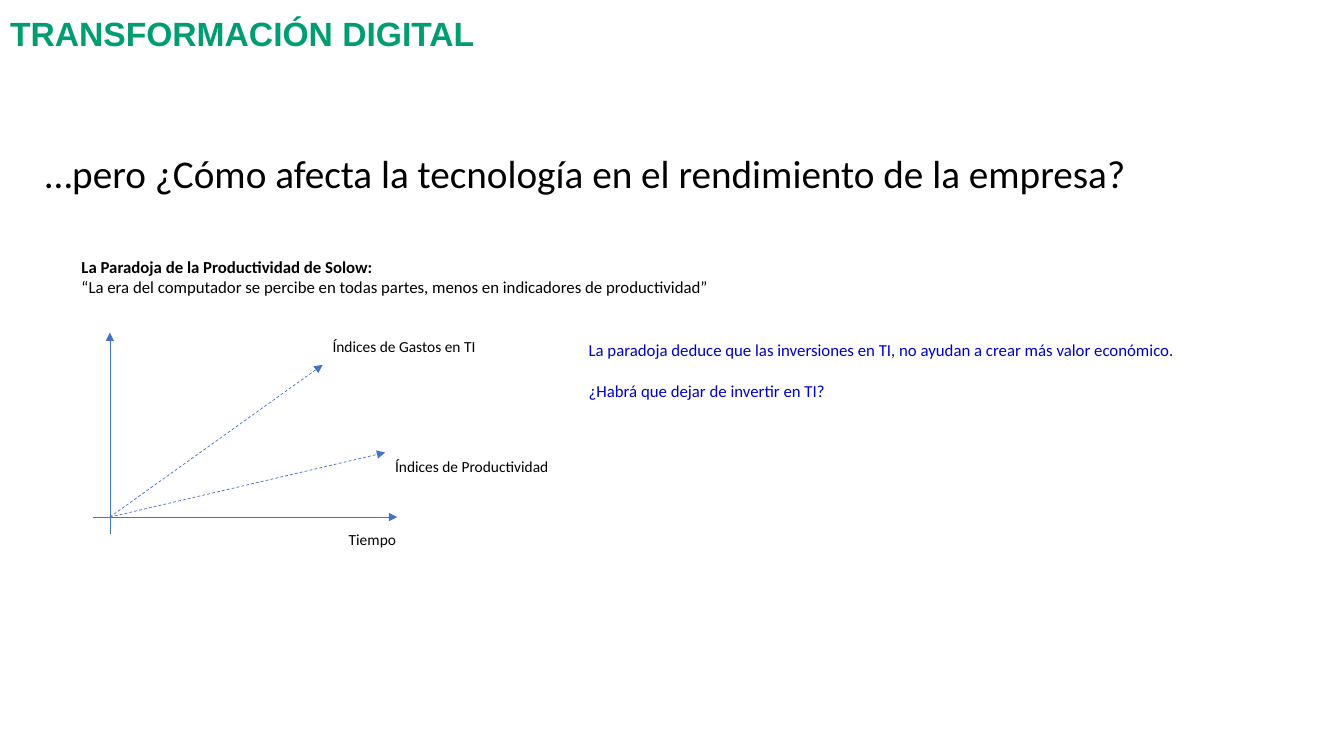
from lxml import etree
from pptx import Presentation
from pptx.dml.color import RGBColor
from pptx.enum.dml import MSO_LINE
from pptx.enum.shapes import MSO_CONNECTOR
from pptx.enum.text import MSO_ANCHOR, PP_ALIGN
from pptx.oxml.ns import qn
from pptx.util import Inches, Pt

COLORS = {"green": "009D72", "black": "000000", "blue": "0000CC", "line": "4472C4"}

# Content
TITLE = "TRANSFORMACIÓN DIGITAL"
# box (left, top, width, height), size, colour, gap before later paragraphs, (text, bold)
TEXTS = [
    ((0.35, 1.43, 11.95, 0.57), 28, "black", 0,
     [("…pero ¿Cómo afecta la tecnología en el rendimiento de la empresa?", False)]),
    ((0.71, 2.5, 7.01, 0.5), 12, "black", 0,
     [("La Paradoja de la Productividad de Solow:", True),
      ("“La era del computador se percibe en todas partes, menos en indicadores de productividad”",
       False)]),
    ((5.74, 3.32, 6.56, 0.91), 12, "blue", 14.65,
     [("La paradoja deduce que las inversiones en TI, no ayudan a crear más valor económico.", False),
      ("¿Habrá que dejar de invertir en TI?", False)]),
    ((3.36, 5.21, 0.72, 0.29), 11, "black", 0, [("Tiempo", False)]),
]
# Trend lines: label, arrow tip, label corner, label width
TRENDS = [
    ("Índices de Productividad", (3.82, 4.49), (3.82, 4.49), 1.87),
    ("Índices de Gastos en TI", (3.2, 3.62), (3.2, 3.3), 1.76),
]
ORIGIN_X, ORIGIN_Y = 1.09, 5.13
AXIS_OVERHANG = 0.17
AXIS_RIGHT, AXIS_TOP = 3.94, 3.3


def add_run(paragraph, text, size, color, font="Calibri", bold=False):
    run = paragraph.add_run()
    run.text = text
    run.font.name = font
    run.font.size = Pt(size)
    run.font.bold = bold
    run.font.color.rgb = RGBColor.from_string(COLORS[color])


def add_text(box, size, color, gap, lines):
    frame = slide.shapes.add_textbox(*map(Inches, box)).text_frame
    frame.word_wrap = True
    for i, (text, bold) in enumerate(lines):
        paragraph = frame.add_paragraph() if i else frame.paragraphs[0]
        if i and gap:
            paragraph.space_before = Pt(gap)
        add_run(paragraph, text, size, color, bold=bold)


def add_arrow(start, tip, dashed=False):
    arrow = slide.shapes.add_connector(MSO_CONNECTOR.STRAIGHT, *map(Inches, start + tip))
    arrow.line.color.rgb = RGBColor.from_string(COLORS["line"])
    arrow.line.width = Pt(0.5)
    if dashed:
        arrow.line.dash_style = MSO_LINE.DASH
    properties = arrow._element.spPr
    etree.SubElement(properties.find(qn("a:ln")), qn("a:tailEnd"), type="triangle")
    etree.SubElement(properties, qn("a:effectLst"))


prs = Presentation()
prs.slide_width, prs.slide_height = Inches(13.33), Inches(7.5)
slide = prs.slides.add_slide(prs.slide_layouts[5])

# Title
title = slide.shapes.title
title.left, title.top, title.width, title.height = map(Inches, (0, 0, 11.5, 0.58))
title.text_frame.vertical_anchor = MSO_ANCHOR.BOTTOM
heading = title.text_frame.paragraphs[0]
heading.alignment = PP_ALIGN.LEFT
heading.line_spacing = 0.9
add_run(heading, TITLE, 24, "green", "Arial", True)

# Question, paradox, conclusion and time axis label
for text_spec in TEXTS:
    add_text(*text_spec)

# Axes
add_arrow((ORIGIN_X - AXIS_OVERHANG, ORIGIN_Y), (AXIS_RIGHT, ORIGIN_Y))
add_arrow((ORIGIN_X, ORIGIN_Y + AXIS_OVERHANG), (ORIGIN_X, AXIS_TOP))

# Trends from the origin, with their labels
for label, tip, corner, width in TRENDS:
    add_arrow((ORIGIN_X, ORIGIN_Y), tip, dashed=True)
    add_text((*corner, width, 0.29), 11, "black", 0, [(label, False)])

prs.save("out.pptx")
